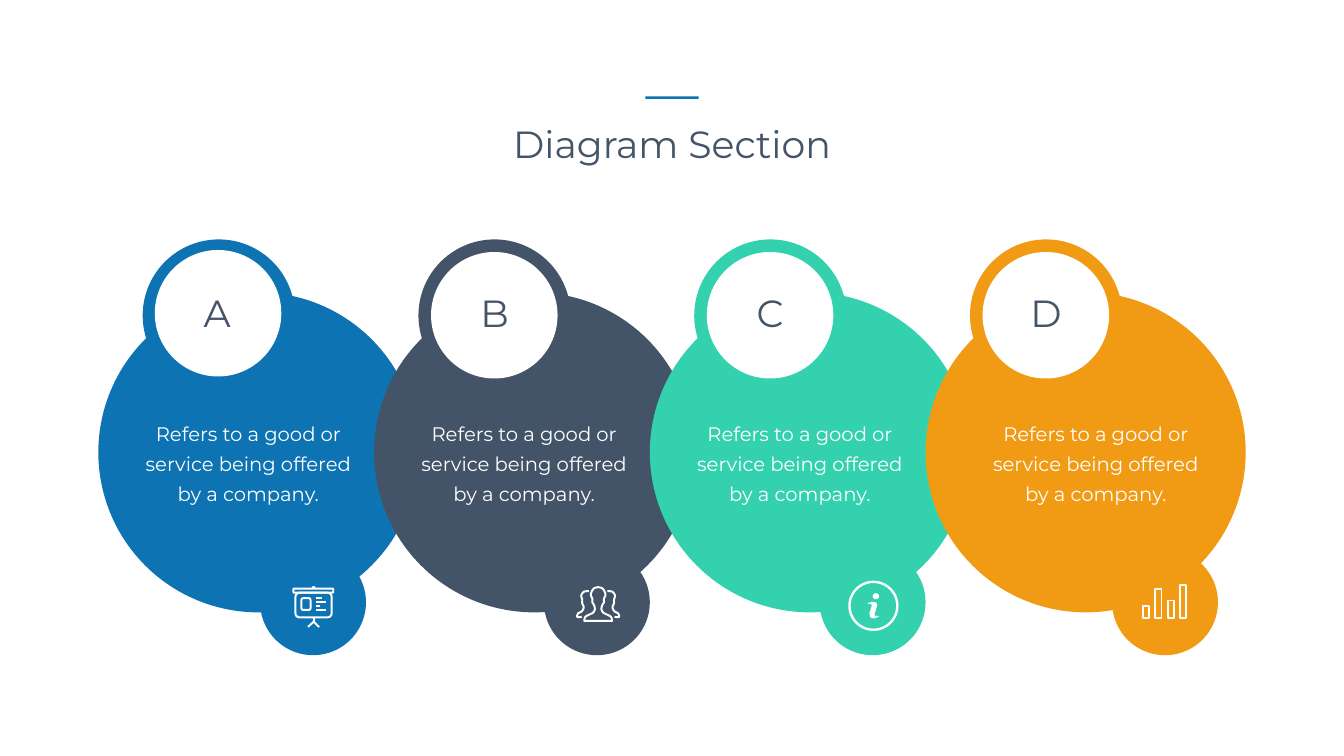
"""Build a slide of four linked circles with badges, texts and icons."""
from dataclasses import dataclass
from lxml.etree import SubElement
from pptx import Presentation
from pptx.dml.color import RGBColor
from pptx.enum.shapes import MSO_CONNECTOR, MSO_SHAPE
from pptx.enum.text import MSO_AUTO_SIZE, PP_ALIGN
from pptx.oxml.ns import qn
from pptx.util import Emu, Pt

COLS, ROWS, CELL = 2666, 1500, 9144
PITCH = 547
HUES = {"blue": "0D73B2", "slate": "445468", "mint": "33D1AD",
        "amber": "F19A14", "white": "FFFFFF", "ink": "445469"}
BODY = "Refers to a good or service being offered by a company."
HEAD = {"size": Pt(54), "name": "Montserrat"}
NOTE = {"size": Pt(28), "name": "Montserrat"}
LOOSE = {"line_spacing": Pt(43), "space_before": Pt(5.6)}
PAD = {"margin_left": Emu(24 * CELL), "margin_right": Emu(24 * CELL),
       "margin_top": Emu(12 * CELL), "margin_bottom": Emu(12 * CELL)}
PEN = 2.8
MID = 1186.5
FRONT = [(1159, 1232), (1161, 1224), (1170, 1219), (1177, 1215), (1180, 1208),
         (1178, 1200), (1175, 1195), (1175, 1188), (1172, 1181), (1174, 1173),
         (1179, 1167), (MID, 1165)]
REAR = [(1154, 1224), (1145, 1224), (1147, 1217), (1154, 1213), (1158, 1205),
        (1155, 1197), (1155, 1190), (1153, 1182), (1157, 1175), (1163, 1173),
        (1168, 1173)]
STEM = [(1721, 1199), (1722, 1197), (1727, 1195), (1732, 1194), (1738, 1196),
        (1740, 1201), (1739, 1205), (1736, 1215), (1735, 1219), (1736, 1222),
        (1739, 1222), (1743, 1222), (1742, 1224), (1737, 1226), (1733, 1227),
        (1727, 1225), (1725, 1220), (1725, 1215), (1728, 1206), (1729, 1202),
        (1728, 1199), (1725, 1198)]


@dataclass
class Box:
    """A place on the grid in columns and rows."""
    left: float
    top: float
    wide: float
    high: float

    def emu(self) -> list:
        """Give the four lengths in EMU."""
        return [Emu(round(n * CELL)) for n in (self.left, self.top, self.wide, self.high)]


@dataclass
class Step:
    """One circle of the chain with its parts."""
    mark: str
    hue: str
    hole: tuple
    sign: int
    tag: int
    note: int


STEPS = [Step("A", "blue", (307, 496), 332, 516, 243),
         Step("B", "slate", (855, 500), 882, 1079, 790),
         Step("C", "mint", (1402, 500), 1429, 1626, 1337),
         Step("D", "amber", (1949, 500), 1976, 2206, 1924)]


def tint(hue: str) -> RGBColor:
    """Look up a colour by name."""
    return RGBColor.from_string(HUES[hue])


def style(item, form: dict) -> None:
    """Set each value of a format on an object."""
    for key, value in form.items():
        setattr(item, key, value)


def paint(shape, fill: str = "", pen: float = 0) -> None:
    """Fill a shape, or give it a white outline."""
    shape.shadow.inherit = False
    if fill:
        shape.fill.solid()
        shape.fill.fore_color.rgb = tint(fill)
    else:
        shape.fill.background()
    if pen:
        style(shape.line, {"width": Pt(pen)})
        shape.line.color.rgb = tint("white")
    else:
        shape.line.fill.background()


def draw(slide, kind: MSO_SHAPE, box: Box, fill: str = "", pen: float = 0) -> None:
    """Add a preset shape."""
    paint(slide.shapes.add_shape(kind, *box.emu()), fill, pen)


def write(slide, box: Box, text: str, hue: str, font: dict, para: dict, pad: dict) -> None:
    """Add a centred text box."""
    frame = slide.shapes.add_textbox(*box.emu()).text_frame
    style(frame, {"word_wrap": True, "auto_size": MSO_AUTO_SIZE.SHAPE_TO_FIT_TEXT} | pad)
    line = frame.paragraphs[0]
    style(line, {"alignment": PP_ALIGN.CENTER} | para)
    run = line.add_run()
    run.text = text
    style(run.font, font)
    run.font.color.rgb = tint(hue)


def trace(slide, dots: list, close: bool = False, fill: str = "", pen: float = 0) -> None:
    """Add an outline through a row of points."""
    spots = [(x * CELL, y * CELL) for x, y in dots]
    form = slide.shapes.build_freeform(*spots[0], scale=1.0)
    form.add_line_segments(spots[1:], close=close)
    paint(form.convert_to_shape(), fill, pen)


def rule(slide, left: float, top: float, right: float, low: float) -> None:
    """Add a straight white line."""
    ends = [Emu(round(n * CELL)) for n in (left, top, right, low)]
    line = slide.shapes.add_connector(MSO_CONNECTOR.STRAIGHT, *ends)
    style(line.line, {"width": Pt(PEN)})
    line.line.color.rgb = tint("white")
    SubElement(line._element.spPr, qn("a:effectLst"))


def curve(dots: list, parts: int = 5) -> list:
    """Round off a row of points with a spline."""
    wide = [dots[0], *dots, dots[-1]]
    out = []
    for a, b, c, d in zip(wide, wide[1:], wide[2:], wide[3:]):
        for t in (n / parts for n in range(parts)):
            out.append(tuple(q + t * (r - p) / 2 + t ** 2 * (2 * p - 5 * q + 4 * r - s) / 2
                             + t ** 3 * (3 * q - p - 3 * r + s) / 2
                             for p, q, r, s in zip(a, b, c, d)))
    return [*out, dots[-1]]


def flip(dots: list) -> list:
    """Mirror points about the middle of the group icon."""
    return [(2 * MID - x, y) for x, y in dots]


def board(slide) -> None:
    """Draw the flip chart icon."""
    for box in (Box(582, 1168, 79, 8), Box(586, 1176, 72, 49), Box(598, 1187, 18, 23)):
        draw(slide, MSO_SHAPE.ROUNDED_RECTANGLE, box, pen=PEN)
    draw(slide, MSO_SHAPE.OVAL, Box(618, 1163, 8, 6), "white")
    for row, end in enumerate((639, 646, 635, 646)):
        rule(slide, 627, 1187 + 7.67 * row, end, 1187 + 7.67 * row)
    rule(slide, 622, 1225, 622, 1234)
    trace(slide, [(611, 1244), (622, 1233.5), (633, 1244)], pen=PEN)


def group(slide) -> None:
    """Draw the three people icon."""
    half = curve(FRONT)
    trace(slide, half + flip(half)[-2::-1], close=True, pen=PEN)
    side = curve(REAR)
    for dots in (side, flip(side)):
        trace(slide, dots, pen=PEN)


def info(slide) -> None:
    """Draw the letter i in a ring."""
    draw(slide, MSO_SHAPE.OVAL, Box(1685, 1154.5, 95, 95), pen=3.4)
    draw(slide, MSO_SHAPE.OVAL, Box(1731, 1177, 13, 12), "white")
    trace(slide, curve(STEM), close=True, fill="white")


def bars(slide) -> None:
    """Draw the bar chart icon."""
    for col, top in enumerate((1203, 1168, 1191.5, 1160)):
        draw(slide, MSO_SHAPE.RECTANGLE, Box(2268 + 24 * col, top, 12, 1227 - top), pen=PEN)


def main() -> None:
    """Build and save the slide."""
    deck = Presentation()
    style(deck, {"slide_width": Emu(COLS * CELL), "slide_height": Emu(ROWS * CELL)})
    slide = deck.slides.add_slide(deck.slide_layouts[6])
    write(slide, Box(824, 234, 1018, 101), "Diagram Section", "ink", HEAD, {}, {})
    draw(slide, MSO_SHAPE.RECTANGLE, Box(1280, 191, 106, 5), "blue")
    for left, top, size in ((195, 580, 635), (283, 475, 302)):
        for col, step in enumerate(STEPS):
            draw(slide, MSO_SHAPE.OVAL, Box(left + PITCH * col, top, size, size), step.hue)
    for step in STEPS:
        draw(slide, MSO_SHAPE.OVAL, Box(*step.hole, 251, 251), "white")
        draw(slide, MSO_SHAPE.OVAL, Box(step.tag, 1090, 210, 210), step.hue)
        write(slide, Box(step.note, 812, 499, 200), BODY, "white", NOTE, LOOSE, PAD)
        write(slide, Box(step.sign, 570, 198, 101), step.mark, "ink", HEAD, {}, {})
    for icon in (board, group, info, bars):
        icon(slide)
    deck.save("out.pptx")


if __name__ == "__main__":
    main()
